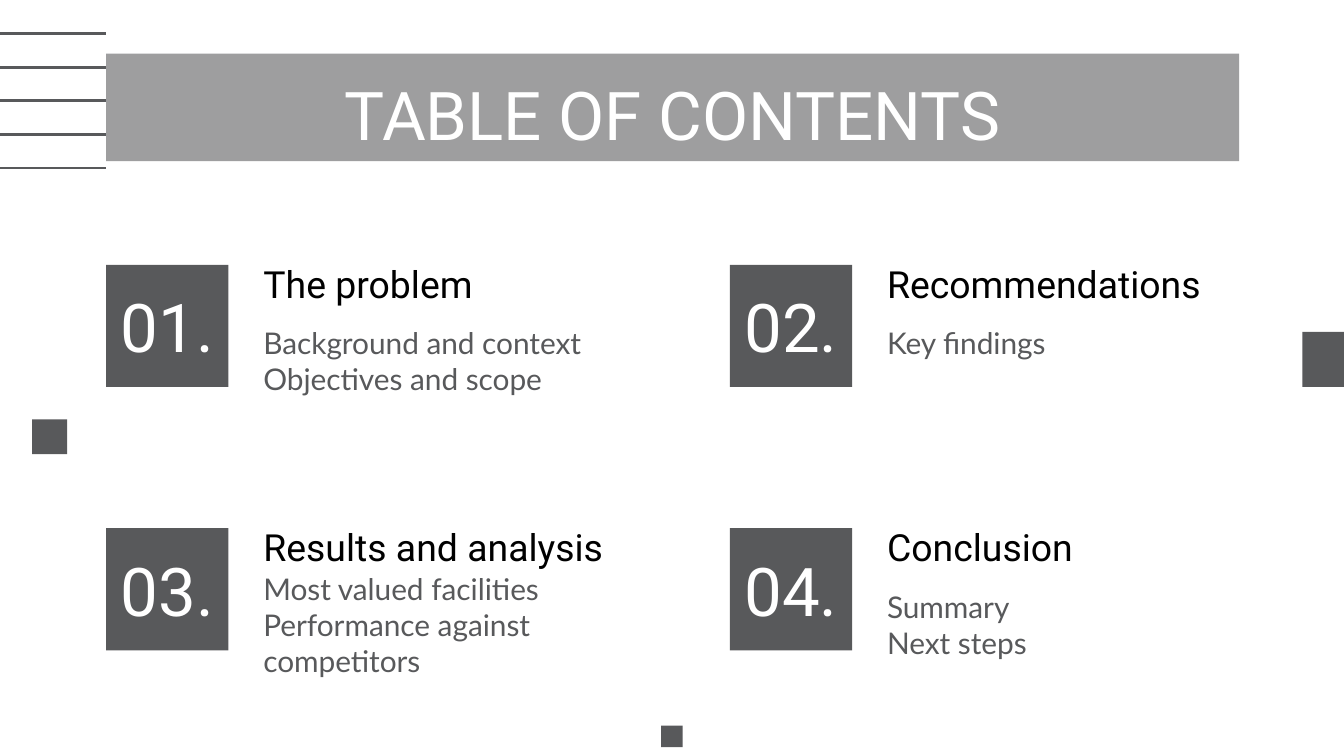
from pptx import Presentation
from pptx.dml.color import RGBColor
from pptx.enum.shapes import MSO_CONNECTOR, MSO_SHAPE
from pptx.enum.text import MSO_ANCHOR, MSO_AUTO_SIZE, PP_ALIGN
from pptx.oxml.ns import qn
from pptx.util import Inches, Pt
from lxml.etree import SubElement

GRAY, WHITE, BLACK = "58595B", "FFFFFF", "000000"


def add_block(left, top, width, height):
    """Add a plain gray rectangle without outline or shadow."""
    block = slide.shapes.add_shape(
        MSO_SHAPE.RECTANGLE, Inches(left), Inches(top), Inches(width), Inches(height))
    block.shadow.inherit = False
    block.fill.solid()
    block.fill.fore_color.rgb = RGBColor.from_string(GRAY)
    block.line.fill.background()
    return block


def write_lines(holder, lines, font_name, size, color, align=PP_ALIGN.LEFT):
    """Write one paragraph per line, centred vertically and without insets."""
    frame = holder.text_frame
    frame.word_wrap = True
    frame.auto_size = MSO_AUTO_SIZE.NONE
    frame.vertical_anchor = MSO_ANCHOR.MIDDLE
    frame.margin_left = frame.margin_right = frame.margin_top = frame.margin_bottom = 0
    for index, line in enumerate(lines):
        paragraph = frame.add_paragraph() if index else frame.paragraphs[0]
        paragraph.alignment = align
        run = paragraph.add_run()
        run.text = line
        run.font.name = font_name
        run.font.size = Pt(size)
        run.font.color.rgb = RGBColor.from_string(color)


prs = Presentation()
prs.slide_width = Inches(10)
prs.slide_height = prs.slide_width * 9 // 16
slide = prs.slides.add_slide(prs.slide_layouts[5])

# Stripes at the top left
for row in range(5):
    y = Inches(0.25 * (row + 1))
    stripe = slide.shapes.add_connector(MSO_CONNECTOR.STRAIGHT, 0, y, Inches(0.79), y)
    stripe.line.color.rgb = RGBColor.from_string(GRAY)
    stripe.line.width = Pt(1.5)
    SubElement(stripe._element.spPr, qn("a:effectLst"))

# Small decorative squares
for left, top, side in [(9.69, 2.47, 0.41), (0.24, 3.12, 0.26), (4.92, 5.4, 0.16)]:
    add_block(left, top, side, side)

# Title on its translucent banner
banner = add_block(0.79, 0.4, 8.43, 0.8)
banner_color = banner._element.spPr.find(qn("a:solidFill"))[0]
SubElement(banner_color, qn("a:alpha"), val="58000")

title = slide.shapes.title
title.left, title.top = Inches(0.79), Inches(0.53)
title.width, title.height = Inches(8.43), Inches(0.63)
write_lines(title, ["TABLE OF CONTENTS"], "Roboto", 36, WHITE, PP_ALIGN.CENTER)
slide.shapes._spTree.append(title._element)  # in front of the banner

# Numbered sections in a two by two grid
sections = [
    ("The problem", ["Background and context", "Objectives and scope"], 2.61),
    ("Recommendations", ["Key findings"], 2.61),
    ("Results and analysis",
     ["Most valued facilities", "Performance against competitors"], 3.1),
    ("Conclusion", ["Summary", "Next steps"], 2.61),
]
for index, (heading, topics, topics_width) in enumerate(sections):
    row, column = divmod(index, 2)
    left, top = 0.79 + 4.64 * column, 1.97 + 1.96 * row

    number = add_block(left, top, 0.91, 0.91)
    write_lines(number, [f"{index + 1:02}."], "Roboto", 36, WHITE, PP_ALIGN.CENTER)

    heading_box = slide.shapes.add_textbox(
        Inches(left + 1.17), Inches(top - 0.04), Inches(2.61), Inches(0.36))
    write_lines(heading_box, [heading], "Roboto", 20, BLACK)

    topics_box = slide.shapes.add_textbox(
        Inches(left + 1.17), Inches(top + 0.32), Inches(topics_width), Inches(0.79))
    write_lines(topics_box, topics, "Lato", 16, GRAY)
    if len(topics) == 1:  # keep a single topic level with the first of two
        topics_box.text_frame.margin_bottom = Inches(0.27)

prs.save("out.pptx")
